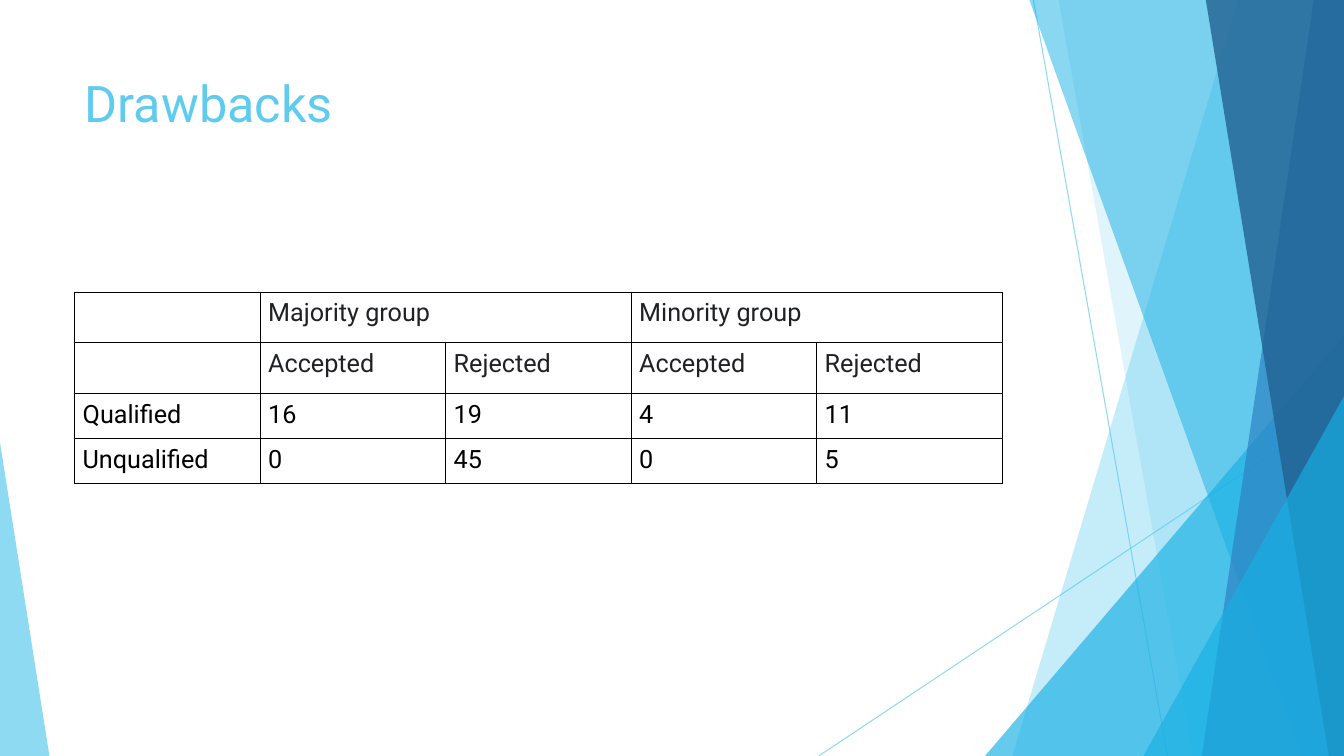
import pptx
import pptx.util
import pptx.dml.color
import pptx.enum.shapes
import pptx.enum.text
import pptx.oxml
import pptx.oxml.ns

Inches = pptx.util.Inches
Pt = pptx.util.Pt
RGBColor = pptx.dml.color.RGBColor

SKY = RGBColor(0x5F, 0xCB, 0xEF)
CYAN = RGBColor(0x17, 0xB0, 0xE4)
BLUE = RGBColor(0x2E, 0x83, 0xC3)
NAVY = RGBColor(0x22, 0x62, 0x92)
CHARCOAL = RGBColor(0x20, 0x21, 0x24)
BLACK = RGBColor(0, 0, 0)
WHITE = RGBColor(0xFF, 0xFF, 0xFF)
FONT = "Roboto"
WIDTH, HEIGHT = 13.33, 7.5

TITLE = "Drawbacks"
TABLE_ROWS = [
    ["", "Majority group", "", "Minority group", ""],
    ["", "Accepted", "Rejected", "Accepted", "Rejected"],
    ["Qualified", "16", "19", "4", "11"],
    ["Unqualified", "0", "45", "0", "5"],
]
HEADER_ROWS = 2
ROW_HEIGHTS = [0.5, 0.5, 0.45, 0.45]
COLUMN_WIDTH = 1.84
GROUP_COLUMNS = [1, 3]

RAYS = [((10.25, 0), (11.58, HEIGHT)), ((WIDTH, 4.03), (8.12, HEIGHT))]
# Bands: left edge at the top and at the bottom; each reaches the right side.
# Triangles: left, top, width and the apex position. All reach the bottom.
FACETS = [
    ("band", (12.28, 10.04), SKY, 36),
    ("band", (10.5, 11.83), SKY, 20),
    ("triangle", (9.77, 3.33, 3.56, 1), CYAN, 66),
    ("band", (10.21, 12.91), CYAN, 50),
    ("band", (13.03, 11.92), BLUE, 70),
    ("band", (11.96, 13.18), NAVY, 80),
    ("triangle", (11.34, 3.93, 1.99, 1), CYAN, 66),
    ("triangle", (0, 4.39, 0.49, 0), SKY, 70),
]


def set_opacity(element, percent):
    color = element.find(".//" + pptx.oxml.ns.qn("a:srgbClr"))
    alpha = color.makeelement(pptx.oxml.ns.qn("a:alpha"), {"val": str(percent * 1000)})
    color.append(alpha)


def add_ray(shapes, start, end):
    ray = shapes.add_connector(
        pptx.enum.shapes.MSO_CONNECTOR.STRAIGHT, *map(Inches, start + end))
    ray.line.color.rgb = SKY
    ray.line.width = Pt(0.75)
    properties = ray._element.spPr
    set_opacity(properties, 70)
    properties.append(properties.makeelement(pptx.oxml.ns.qn("a:effectLst"), {}))


def add_facet(shapes, kind, geometry, color, opacity):
    if kind == "band":
        top_x, bottom_x = geometry
        builder = shapes.build_freeform(Inches(top_x), 0)
        corners = [(WIDTH, 0), (WIDTH, HEIGHT), (bottom_x, HEIGHT)]
        builder.add_line_segments([(Inches(x), Inches(y)) for x, y in corners])
        facet = builder.convert_to_shape()
    else:
        left, top, width, apex = geometry
        facet = shapes.add_shape(
            pptx.enum.shapes.MSO_SHAPE.ISOSCELES_TRIANGLE,
            Inches(left), Inches(top), Inches(width), Inches(HEIGHT - top))
        facet.adjustments[0] = apex
    facet.shadow.inherit = False
    facet.line.fill.background()
    facet.fill.solid()
    facet.fill.fore_color.rgb = color
    set_opacity(facet._element.spPr, opacity)


def set_font(paragraph, size, color):
    for name, value in {"name": FONT, "size": Pt(size), "bold": False}.items():
        setattr(paragraph.font, name, value)
    paragraph.font.color.rgb = color


def add_borders(cell):
    properties = cell._tc.get_or_add_tcPr()
    for side in ("lnL", "lnR", "lnT", "lnB"):
        properties.append(pptx.oxml.parse_xml(
            f'<a:{side} {pptx.oxml.ns.nsdecls("a")} w="{Pt(1)}"><a:solidFill>'
            f'<a:srgbClr val="{BLACK}"/></a:solidFill></a:{side}>'))


def format_cell(cell, text, is_header):
    add_borders(cell)
    cell.fill.solid()
    cell.fill.fore_color.rgb = WHITE
    anchor = pptx.enum.text.MSO_ANCHOR
    formats = {
        "margin_left": Inches(0.08), "margin_right": Inches(0.08),
        "margin_top": Inches(0.08 if is_header else 0.07), "margin_bottom": Inches(0.08),
        "vertical_anchor": anchor.MIDDLE if is_header else anchor.TOP,
    }
    for name, value in formats.items():
        setattr(cell, name, value)
    paragraph = cell.text_frame.paragraphs[0]
    paragraph.text = text
    set_font(paragraph, 18, CHARCOAL if is_header else BLACK)
    if is_header:
        paragraph.line_spacing = Pt(15)


def add_results_table(shapes):
    column_count = len(TABLE_ROWS[0])
    table = shapes.add_table(
        len(TABLE_ROWS), column_count, Inches(0.74), Inches(2.9),
        Inches(COLUMN_WIDTH * column_count), Inches(sum(ROW_HEIGHTS))).table
    for column in table.columns:
        column.width = Inches(COLUMN_WIDTH)
    for row_index, texts in enumerate(TABLE_ROWS):
        table.rows[row_index].height = Inches(ROW_HEIGHTS[row_index])
        for column_index, text in enumerate(texts):
            format_cell(table.cell(row_index, column_index), text, row_index < HEADER_ROWS)
    for column_index in GROUP_COLUMNS:
        table.cell(0, column_index).merge(table.cell(0, column_index + 1))


def add_title(slide):
    title = slide.shapes.title
    box = {"left": 0.74, "top": 0.67, "width": 9.4, "height": 1.44}
    for name, value in box.items():
        setattr(title, name, Inches(value))
    title.text_frame.text = TITLE
    title.text_frame.vertical_anchor = pptx.enum.text.MSO_ANCHOR.TOP
    paragraph = title.text_frame.paragraphs[0]
    paragraph.alignment = pptx.enum.text.PP_ALIGN.LEFT
    set_font(paragraph, 36, SKY)


def main():
    presentation = pptx.Presentation()
    presentation.slide_width = Inches(WIDTH)
    presentation.slide_height = Inches(HEIGHT)
    slide = presentation.slides.add_slide(presentation.slide_layouts[5])
    for start, end in RAYS:
        add_ray(slide.shapes, start, end)
    for facet in FACETS:
        add_facet(slide.shapes, *facet)
    add_title(slide)
    add_results_table(slide.shapes)
    presentation.save("out.pptx")


if __name__ == "__main__":
    main()
